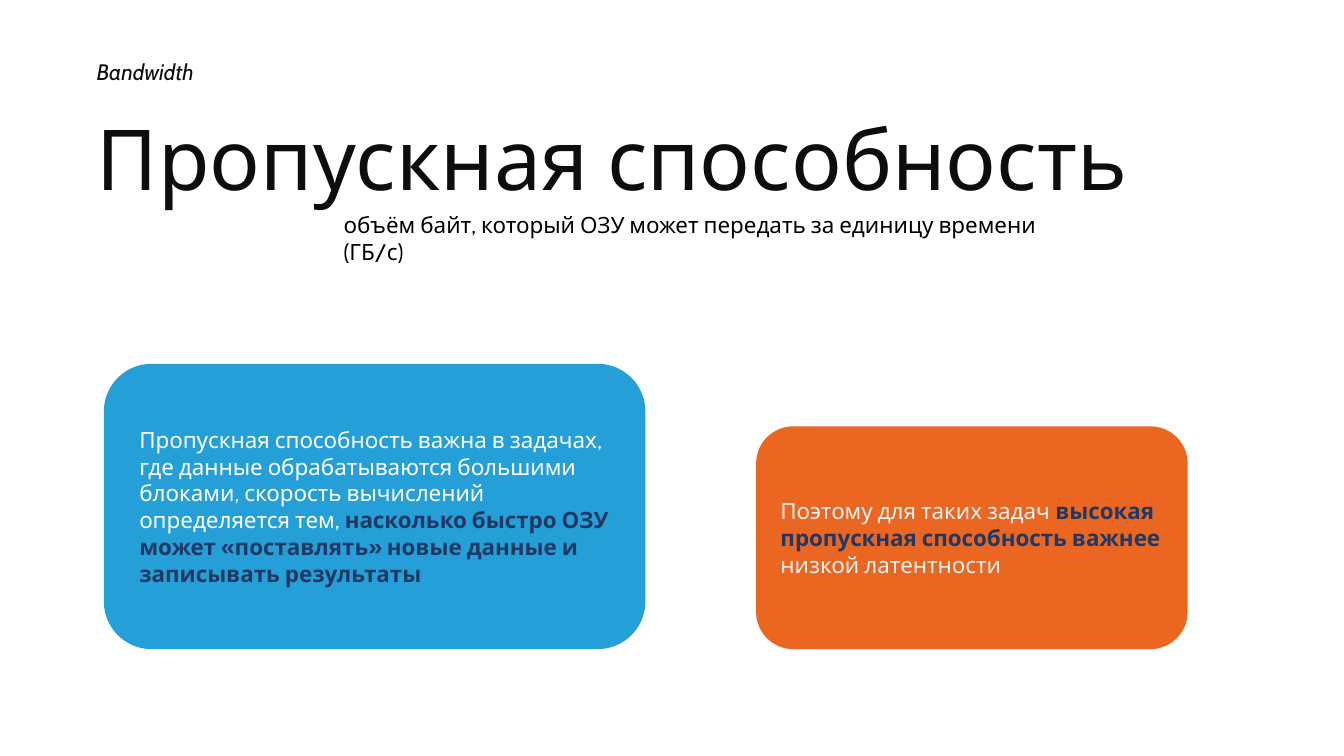
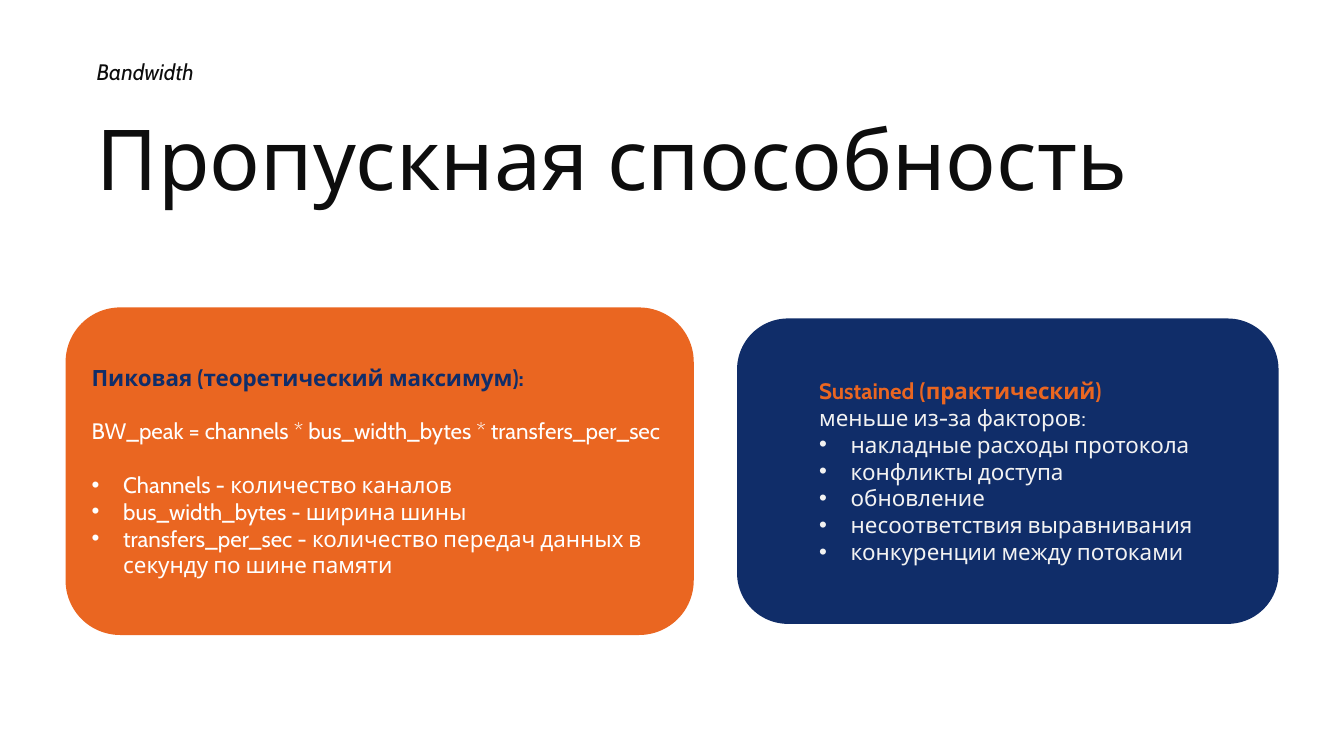
from dataclasses import dataclass

from lxml.etree import SubElement
from pptx import Presentation
from pptx.dml.color import RGBColor
from pptx.enum.shapes import MSO_SHAPE
from pptx.enum.text import MSO_ANCHOR, PP_ALIGN
from pptx.oxml.ns import qn
from pptx.util import Inches, Pt


@dataclass(frozen=True)
class Theme:
    font: str = "Cabin"
    body_size: int = 16
    title_size: int = 60
    line_gap: int = 19
    subtitle_gap: int = 12
    ink: str = "0D0D0D"
    black: str = "000000"
    white: str = "FFFFFF"
    pale: str = "F2F2F2"
    blue: str = "249FD8"
    orange: str = "EA6621"
    navy: str = "102D69"
    accent: str = "203864"


@dataclass(frozen=True)
class Span:
    text: str
    color: str
    bold: bool = False
    italic: bool = False
    size: int = Theme.body_size


@dataclass(frozen=True)
class Line:
    spans: tuple
    bullet: bool = False
    before: int = 0


THEME = Theme()
WIDTH, HEIGHT = Inches(13.33), Inches(7.5)
COLUMN, ROW = WIDTH / 100, HEIGHT / 100
BULLET_INDENT = 2.35
PLAIN_INSET = 0.75


def columns(count):
    return round(count * COLUMN)


def rows(count):
    return round(count * ROW)


def place(box):
    left, top, width, height = box
    return columns(left), rows(top), columns(width), rows(height)


def line(text, color, bullet=False, before=0, **style):
    return Line((Span(text, color, **style),), bullet, before)


def bullets(items, color, first_gap=0):
    return [line(item, color, bullet=True, before=0 if index else first_gap)
            for index, item in enumerate(items)]


def add_bullet(para):
    properties = para._p.get_or_add_pPr()
    properties.set("marL", str(columns(BULLET_INDENT)))
    properties.set("indent", str(-columns(BULLET_INDENT)))
    SubElement(properties, qn("a:buFont")).set("typeface", "Arial")
    SubElement(properties, qn("a:buChar")).set("char", "•")


def write(frame, lines):
    frame.word_wrap = True
    frame.text = "\n".join("" for _ in lines)
    for para, content in zip(frame.paragraphs, lines):
        para.alignment = PP_ALIGN.LEFT
        if content.before:
            para.space_before = Pt(content.before)
        if content.bullet:
            add_bullet(para)
        for span in content.spans:
            run = para.add_run()
            run.text = span.text
            run.font.name = THEME.font
            run.font.size = Pt(span.size)
            run.font.bold = span.bold
            run.font.italic = span.italic
            run.font.color.rgb = RGBColor.from_string(span.color)


def add_text(page, box, content):
    frame = page.shapes.add_textbox(*place(box)).text_frame
    write(frame, [content])
    return frame


def add_card(page, box, fill, lines, left_inset=PLAIN_INSET, right_inset=PLAIN_INSET):
    card = page.shapes.add_shape(MSO_SHAPE.ROUNDED_RECTANGLE, *place(box))
    card.shadow.inherit = False
    card.fill.solid()
    card.fill.fore_color.rgb = RGBColor.from_string(fill)
    card.line.fill.background()
    frame = card.text_frame
    frame.vertical_anchor = MSO_ANCHOR.MIDDLE
    frame.margin_left = columns(left_inset)
    frame.margin_right = columns(right_inset)
    write(frame, lines)


def add_page(deck):
    page = deck.slides.add_slide(deck.slide_layouts[6])
    add_text(page, (6.45, 7.07, 29.33, 4.93), line("Bandwidth", THEME.ink, italic=True))
    add_text(page, (6.45, 13.47, 78.62, 14.8),
             line("Пропускная способность", THEME.ink, size=THEME.title_size))
    return page


def definition_slide(deck):
    page = add_page(deck)
    subtitle = add_text(
        page, (24.83, 27.33, 54.46, 4.93),
        line("объём байт, который ОЗУ может передать за единицу времени (ГБ/с)", THEME.black))
    subtitle.paragraphs[0].space_after = Pt(THEME.subtitle_gap)
    add_card(page, (7.73, 48.13, 40.29, 37.73), THEME.blue, [Line((
        Span("Пропускная способность важна в задачах, где данные обрабатываются "
             "большими блоками, скорость вычислений определяется тем, ", THEME.white),
        Span("насколько быстро ОЗУ может «поставлять» новые данные и записывать "
             "результаты", THEME.accent, bold=True),
    ))], left_inset=1.6, right_inset=1.3)
    add_card(page, (56.26, 56.4, 32.11, 29.47), THEME.orange, [Line((
        Span("Поэтому для таких задач ", THEME.pale),
        Span("высокая пропускная способность важнее ", THEME.accent, bold=True),
        Span("низкой латентности", THEME.pale),
    ))], left_inset=1)


def comparison_slide(deck):
    page = add_page(deck)
    add_card(page, (54.84, 42.13, 40.29, 40.4), THEME.navy, [
        line("Sustained (практический)", THEME.orange, bold=True),
        line("меньше из-за факторов:", THEME.pale),
        *bullets(("накладные расходы протокола", "конфликты доступа", "обновление",
                  "несоответствия выравнивания", "конкуренции между потоками"), THEME.pale),
    ], left_inset=5)
    add_card(page, (4.88, 40.67, 46.74, 43.33), THEME.orange, [
        line("Пиковая (теоретический максимум):", THEME.navy, bold=True),
        line("BW_peak = channels * bus_width_bytes * transfers_per_sec", THEME.white,
             before=THEME.line_gap),
        *bullets(("Channels - количество каналов", "bus_width_bytes - ширина шины",
                  "transfers_per_sec - количество передач данных в секунду по шине памяти"),
                 THEME.white, first_gap=THEME.line_gap),
    ])


def main():
    deck = Presentation()
    deck.slide_width, deck.slide_height = WIDTH, HEIGHT
    definition_slide(deck)
    comparison_slide(deck)
    deck.save("out.pptx")


if __name__ == "__main__":
    main()
